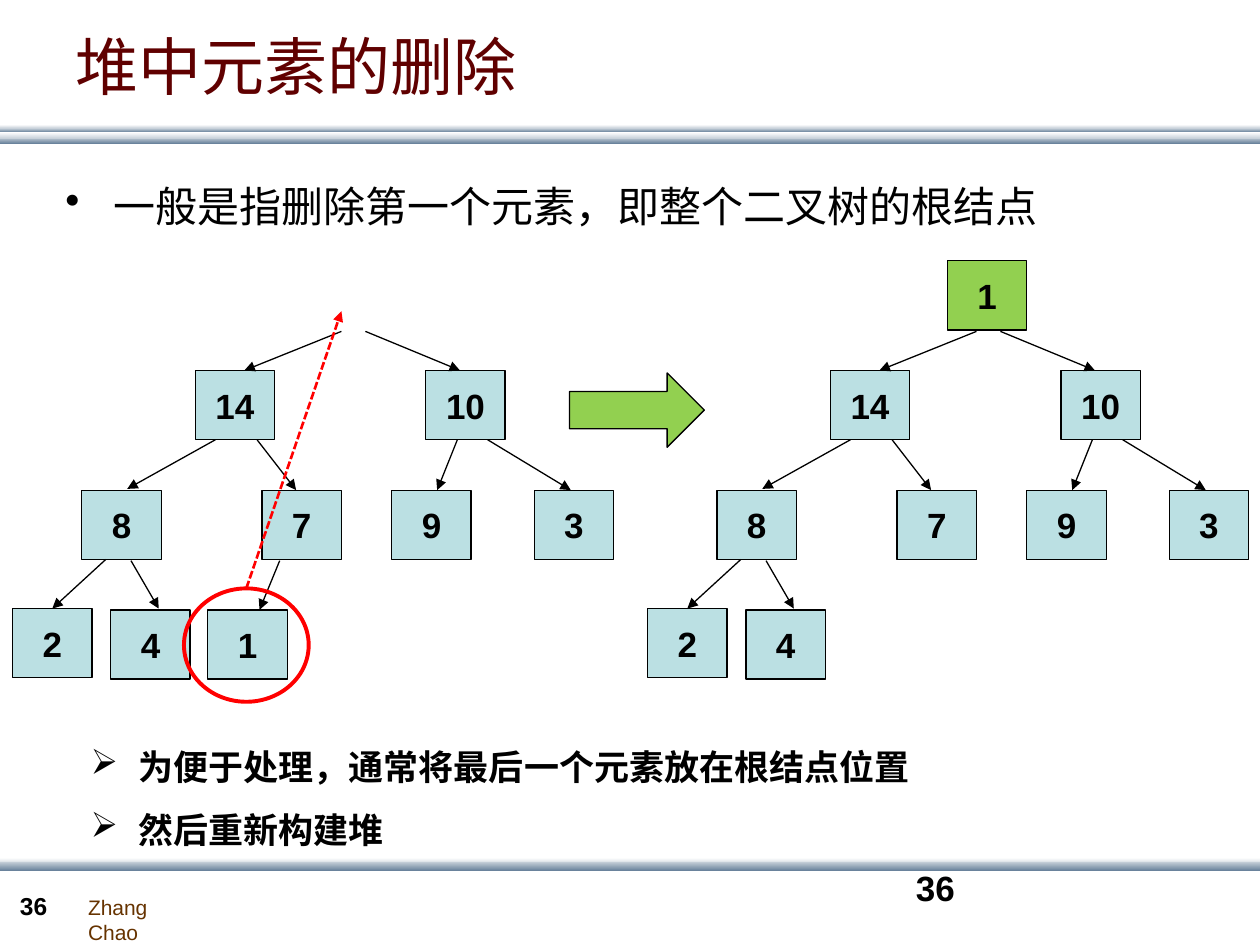
"""Build a slide on deleting an element from a heap, with trees before and after."""
from lxml.etree import SubElement
from pptx import Presentation
from pptx.dml.color import RGBColor
from pptx.enum.dml import MSO_LINE
from pptx.enum.shapes import MSO_CONNECTOR, MSO_SHAPE
from pptx.enum.text import MSO_ANCHOR, PP_ALIGN
from pptx.oxml.ns import qn
from pptx.util import Inches, Pt

COLORS = {
    "title": "600000", "black": "000000", "brown": "663300", "red": "FF0000",
    "node": "BBE0E3", "green": "92D050",
    "white": "FFFFFF", "mist": "C8D1DA", "steel": "6A839C",
}
RGB = {name: RGBColor.from_string(value) for name, value in COLORS.items()}
CJK = "Noto Sans CJK SC"


def write(shape, *lines, size=20, font="Arial", color="black", bold=True, align=PP_ALIGN.LEFT,
          anchor=MSO_ANCHOR.TOP, wrap=True, bullet=None, spacing=None):
    tf = shape.text_frame
    tf.word_wrap = wrap
    tf.vertical_anchor = anchor
    for i, line in enumerate(lines):
        p = tf.add_paragraph() if i else tf.paragraphs[0]
        p.alignment = align
        if spacing:
            p.line_spacing = spacing
        if bullet:
            pPr = p._p.get_or_add_pPr()
            pPr.set("marL", str(Inches(0.38)))
            pPr.set("indent", str(-Inches(0.38)))
            SubElement(pPr, qn("a:buChar"), char=bullet)
        r = p.add_run()
        r.text = line
        r.font.size, r.font.name, r.font.bold = Pt(size), font, bold
        r.font.color.rgb = RGB[color]
        SubElement(r._r.get_or_add_rPr(), qn("a:ea"), typeface=font)


def add_arrow(x1, y1, x2, y2, color="black", width=0.75):
    line = s.shapes.add_connector(MSO_CONNECTOR.STRAIGHT, Inches(x1), Inches(y1), Inches(x2), Inches(y2))
    line.line.color.rgb = RGB[color]
    line.line.width = Pt(width)
    SubElement(line.line._get_or_add_ln(), qn("a:tailEnd"), type="triangle")
    SubElement(line._element.spPr, qn("a:effectLst"))
    return line


prs = Presentation()
prs.slide_width, prs.slide_height = Inches(10), Inches(7.5)
s = prs.slides.add_slide(prs.slide_layouts[5])

bands = [
    (1.09, 0.05, "mist", "steel"), (1.02, 0.03, "mist", "steel"),
    (1.05, 0.05, "white", "mist"), (0.99, 0.03, "white", "mist"),
    (6.81, 0.05, "white", "mist"), (6.84, 0.07, "mist", "steel"),
]
for top, height, start, end in bands:
    band = s.shapes.add_shape(MSO_SHAPE.RECTANGLE, 0, Inches(top), Inches(10.01), Inches(height))
    band.shadow.inherit = False
    band.line.fill.background()
    band.fill.gradient()
    band.fill.gradient_angle = 270
    for stop, position, name in zip(band.fill.gradient_stops, (0, 1), (start, end)):
        stop.position = position
        stop.color.rgb = RGB[name]

title = s.shapes.title
title.left, title.top, title.width, title.height = Inches(0.5), Inches(-0.11), Inches(9), Inches(1.25)
write(title, "堆中元素的删除", size=36, font=CJK, color="title", bold=False, anchor=MSO_ANCHOR.MIDDLE)

texts = [
    ((0.6, 7.05, 1.11, 0.3), ["Zhang Chao"], dict(size=12, color="brown", bold=False, wrap=False)),
    ((0.06, 7.02, 0.55, 0.34), ["36"], dict(size=14)),
    ((7.17, 6.83, 2.33, 0.5), ["36"], dict(size=20)),
    ((0.42, 1.38, 9.07, 5.04), ["一般是指删除第一个元素，即整个二叉树的根结点"],
     dict(size=24, font=CJK, bold=False, bullet="•")),
    ((0.62, 5.7, 8.01, 1.1), ["为便于处理，通常将最后一个元素放在根结点位置", "然后重新构建堆"],
     dict(font=CJK, bullet="➢", spacing=1.5)),
]
for box, lines, style in texts:
    write(s.shapes.add_textbox(*map(Inches, box)), *lines, **style)

step = s.shapes.add_shape(MSO_SHAPE.RIGHT_ARROW, Inches(4.52), Inches(2.96), Inches(1.07), Inches(0.59))
step.shadow.inherit = False
step.fill.solid()
step.fill.fore_color.rgb = RGB["green"]
step.line.color.rgb = RGB["black"]
step.line.width = Pt(0.75)

shared_nodes = [
    ("14", 1.55, 2.94, "node"), ("10", 3.38, 2.94, "node"),
    ("8", 0.65, 3.89, "node"), ("7", 2.08, 3.89, "node"),
    ("9", 3.11, 3.89, "node"), ("3", 4.24, 3.89, "node"),
    ("2", 0.1, 4.83, "node"), ("4", 0.88, 4.84, "node"),
]
shared_edges = [
    (2.71, 2.63, 1.94, 2.94, None), (2.9, 2.63, 3.65, 2.94, None),
    (1.71, 3.49, 1.01, 3.88, None), (2.04, 3.49, 2.35, 3.89, None),
    (3.63, 3.49, 3.47, 3.89, None), (3.87, 3.49, 4.53, 3.89, None),
    (0.84, 4.44, 0.42, 4.83, "2"), (1.04, 4.45, 1.26, 4.83, None),
]
trees = [
    (0, [("1", 1.65, 4.84, "node")], [(2.22, 4.45, 2.06, 4.84, None)]),
    (5.04, [("1", 2.48, 2.07, "green")], []),
]
for offset, extra_nodes, extra_edges in trees:
    nodes = {}
    for label, x, y, fill in shared_nodes + extra_nodes:
        node = s.shapes.add_shape(MSO_SHAPE.RECTANGLE, Inches(x + offset), Inches(y), Inches(0.63), Inches(0.55))
        node.shadow.inherit = False
        node.fill.solid()
        node.fill.fore_color.rgb = RGB[fill]
        node.line.color.rgb = RGB["black"]
        node.line.width = Pt(0.75)
        write(node, label, align=PP_ALIGN.CENTER, anchor=MSO_ANCHOR.MIDDLE, wrap=False)
        nodes[label] = node
    for x1, y1, x2, y2, child in shared_edges + extra_edges:
        edge = add_arrow(x1 + offset, y1, x2 + offset, y2)
        if child:
            edge.end_connect(nodes[child], 0)

ring = s.shapes.add_shape(MSO_SHAPE.OVAL, Inches(1.46), Inches(4.67), Inches(0.99), Inches(0.9))
ring.shadow.inherit = False
ring.fill.background()
ring.line.color.rgb = RGB["red"]
ring.line.width = Pt(2.25)

move = add_arrow(1.95, 4.67, 2.71, 2.47, color="red", width=1.5)
move.line.dash_style = MSO_LINE.SQUARE_DOT
move.begin_connect(ring, 0)

prs.save("out.pptx")
